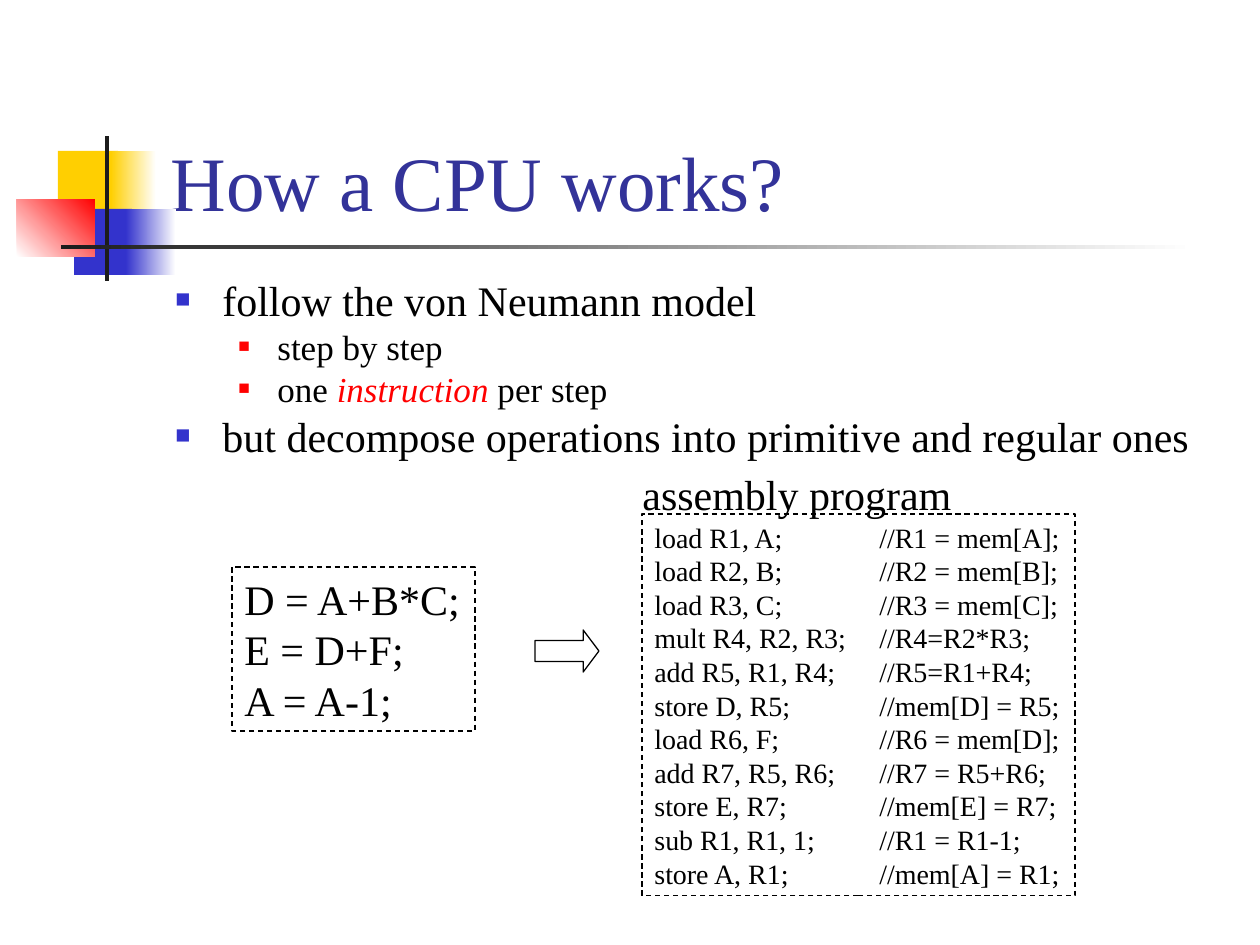
from lxml.etree import SubElement
from pptx import Presentation
from pptx.dml.color import RGBColor
from pptx.enum.dml import MSO_LINE
from pptx.enum.shapes import MSO_SHAPE
from pptx.enum.text import MSO_ANCHOR, PP_ALIGN
from pptx.oxml.ns import qn
from pptx.util import Pt

PX = 914400 // 126
FONT = "Times New Roman"
COLORS = {name: RGBColor.from_string(value) for name, value in {
    "yellow": "FFCF01", "blue": "3333CC", "red": "FF0000", "dark": "1C1C1C",
    "white": "FFFFFF", "black": "000000", "title": "333399"}.items()}

deck = Presentation()
deck.slide_width, deck.slide_height = 1260 * PX, 945 * PX
page = deck.slides.add_slide(deck.slide_layouts[5])
shapes = page.shapes


def add_outline(kind, left, top, width, height):
    """Add an unfilled shape with a thin black line."""
    shape = shapes.add_shape(kind, left * PX, top * PX, width * PX, height * PX)
    shape.shadow.inherit = False
    shape.fill.background()
    shape.line.color.rgb = COLORS["black"]
    shape.line.width = Pt(0.75)
    return shape


def style(para, size, color="black"):
    para.alignment = PP_ALIGN.LEFT
    para.font.name = FONT
    para.font.size = Pt(size)
    para.font.color.rgb = COLORS[color]


# Decoration: left, top, width, height, start colour, end colour, angle
decoration = [
    (58, 151, 60, 66, "yellow", None, 0),
    (111, 151, 45, 66, "yellow", "white", 0),
    (74, 209, 58, 66, "blue", None, 0),
    (126, 209, 50, 66, "blue", "white", 0),
    (17, 199, 78, 58, "white", "red", 45),
    (105, 136, 4, 145, "dark", None, 0),
    (61, 245, 1134, 4, "dark", "white", 0),
]
for left, top, width, height, start, end, angle in decoration:
    block = shapes.add_shape(MSO_SHAPE.RECTANGLE, left * PX, top * PX, width * PX, height * PX)
    block.shadow.inherit = False
    block.line.fill.background()
    if end:
        block.fill.gradient()
        block.fill.gradient_angle = angle
        for stop, color, position in zip(block.fill.gradient_stops, (start, end), (0, 1)):
            stop.color.rgb = COLORS[color]
            stop.position = position
    else:
        block.fill.solid()
        block.fill.fore_color.rgb = COLORS[start]

# Title
title = shapes.title
title.left, title.top, title.width, title.height = 158 * PX, 32 * PX, 1073 * PX, 201 * PX
title.text_frame.text = "How a CPU works?"
title.text_frame.vertical_anchor = MSO_ANCHOR.BOTTOM
style(title.text_frame.paragraphs[0], 44, "title")

# Bullets: level and text spans; an emphasised span is red and italic
levels = [
    {"size": 24, "before": 6, "margin": 47, "hang": 47, "color": "blue", "scale": 60},
    {"size": 20, "before": 5, "margin": 102, "hang": 39, "color": "red", "scale": 55},
]
emphasised = "instruction"
bullets = [
    (0, ["follow the von Neumann model"]),
    (1, ["step by step"]),
    (1, ["one ", emphasised, " per step"]),
    (0, ["but decompose operations into primitive and regular ones"]),
]
body = shapes.add_textbox(163 * PX, 278 * PX, 1066 * PX, 194 * PX).text_frame
body.word_wrap = True
for index, (depth, spans) in enumerate(bullets):
    level = levels[depth]
    para = body.add_paragraph() if index else body.paragraphs[0]
    para.level = depth
    para.line_spacing = 0.8
    para.space_before = Pt(level["before"])
    props = para._p.get_or_add_pPr()
    props.set("marL", str(level["margin"] * PX))
    props.set("indent", str(-level["hang"] * PX))
    bullet_color = SubElement(props, qn("a:buClr"))
    SubElement(bullet_color, qn("a:srgbClr"), val=str(COLORS[level["color"]]))
    SubElement(props, qn("a:buSzPct"), val=str(level["scale"] * 1000))
    SubElement(props, qn("a:buFont"), typeface=FONT)
    SubElement(props, qn("a:buChar"), char="■")
    style(para, level["size"])
    for text in spans:
        span = para.add_run()
        span.text = text
        if text == emphasised:
            span.font.italic = True
            span.font.color.rgb = COLORS["red"]

# Source code and its assembly translation, comments set on a tab stop
source = ["D = A+B*C;", "E = D+F;", "A = A-1;"]
assembly = [
    "load R1, A;\t//R1 = mem[A];",
    "load R2, B;\t//R2 = mem[B];",
    "load R3, C;\t//R3 = mem[C];",
    "mult R4, R2, R3;\t//R4=R2*R3;",
    "add R5, R1, R4;\t//R5=R1+R4;",
    "store D, R5;\t//mem[D] = R5;",
    "load R6, F;\t//R6 = mem[D];",
    "add R7, R5, R6;\t//R7 = R5+R6;",
    "store E, R7;\t//mem[E] = R7;",
    "sub R1, R1, 1;\t//R1 = R1-1;",
    "store A, R1;\t//mem[A] = R1;",
]
for lines, size, place in [(source, 24, (232, 567, 243, 164)),
                           (assembly, 16, (642, 514, 433, 382))]:
    box = add_outline(MSO_SHAPE.RECTANGLE, *place)
    box.line.dash_style = MSO_LINE.DASH
    frame = box.text_frame
    frame.word_wrap = True
    frame.margin_right = 0
    frame.text = "\n".join(lines)
    for para in frame.paragraphs:
        style(para, size)
        if "\t" in para.text:
            tabs = para._p.get_or_add_pPr().makeelement(qn("a:tabLst"))
            SubElement(tabs, qn("a:tab"), pos=str(225 * PX), algn="l")
            para._p.pPr.find(qn("a:defRPr")).addprevious(tabs)

caption = shapes.add_textbox(630 * PX, 462 * PX, 334 * PX, 63 * PX).text_frame
caption.word_wrap = True
caption.text = "assembly program"
style(caption.paragraphs[0], 24)

arrow = add_outline(MSO_SHAPE.RIGHT_ARROW, 535, 630, 64, 42)
arrow.adjustments[0] = 0.5
arrow.adjustments[1] = 0.375

deck.save("out.pptx")
